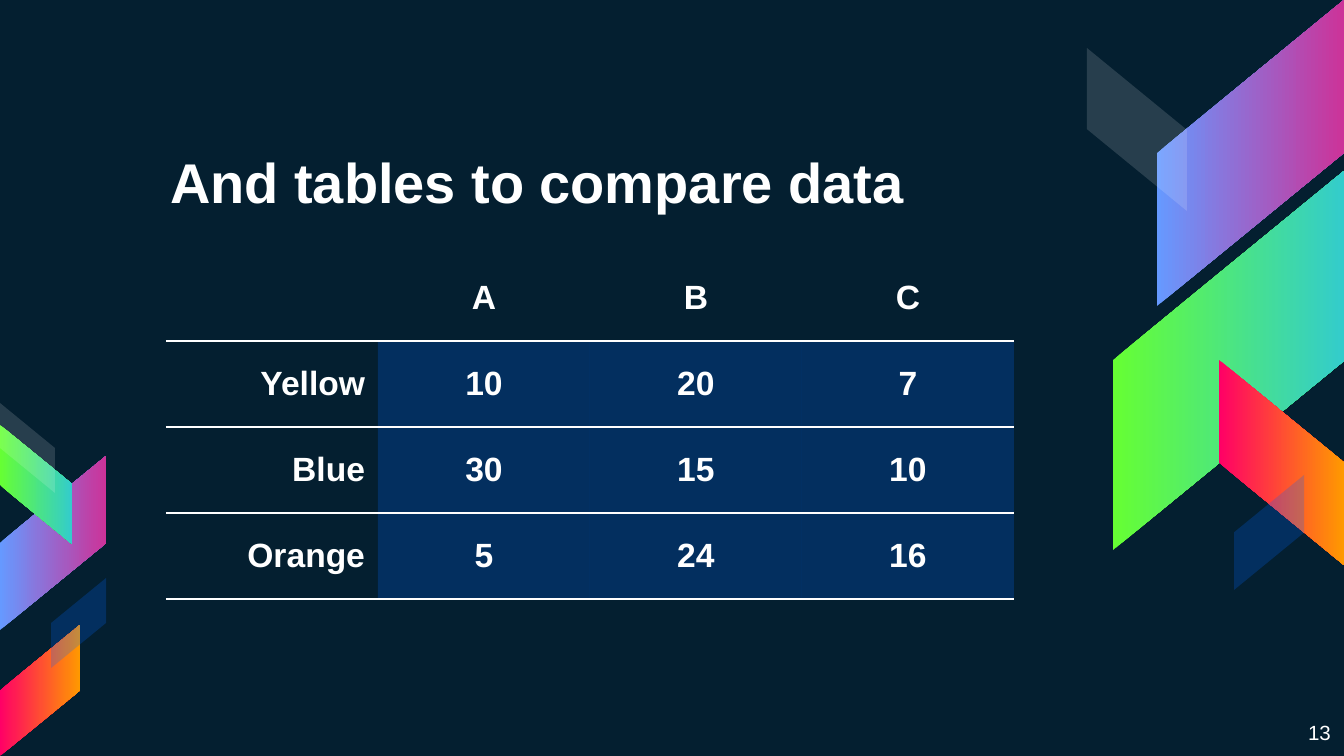
from dataclasses import dataclass

from lxml.etree import SubElement
from pptx import Presentation
from pptx.dml.color import RGBColor
from pptx.enum.shapes import MSO_SHAPE
from pptx.enum.text import MSO_ANCHOR, MSO_AUTO_SIZE, PP_ALIGN
from pptx.oxml import parse_xml
from pptx.oxml.ns import nsdecls, qn
from pptx.util import Pt

WIDTH, HEIGHT = 1344, 756
SCALE = 914400 / 134.4
PLAIN_TABLE = "{2D5ABB26-0587-4C30-8999-92F81FD0307C}"


def px(length):
    return round(length * SCALE)


@dataclass(frozen=True)
class Theme:
    background: str = "041F30"
    text: str = "FFFFFF"
    accent: str = "0066FF"
    accent_opacity: int = 23
    veil_opacity: int = 14
    violet: tuple = ("6699FF", "CC3399")
    green: tuple = ("66FF33", "33CCCC")
    flame: tuple = ("FF0066", "FF9900")
    font: str = "Arial"
    title_size: int = 30
    table_size: int = 18
    number_size: int = 11
    inset: int = 13
    rule_width: float = 0.75
    slant: float = 0.819


class SlideBuilder:
    def __init__(self, deck, theme):
        self.theme = theme
        self.page = deck.slides.add_slide(deck.slide_layouts[5])
        fill = self.page.background.fill
        fill.solid()
        fill.fore_color.rgb = RGBColor.from_string(theme.background)

    def paint(self, fill, owner, color, opacity):
        fill.solid()
        fill.fore_color.rgb = RGBColor.from_string(color)
        for tint in owner.iter(qn("a:srgbClr")):
            SubElement(tint, qn("a:alpha")).set("val", str(opacity * 1000))

    def set_text(self, frame, text, size, align, bold=True):
        frame.text = text
        para = frame.paragraphs[0]
        para.alignment = align
        para.font.name = self.theme.font
        para.font.size = Pt(size)
        para.font.bold = bold
        para.font.color.rgb = RGBColor.from_string(self.theme.text)

    def frame(self, shape, anchor):
        frame = shape.text_frame
        frame.word_wrap = True
        frame.auto_size = MSO_AUTO_SIZE.NONE
        frame.vertical_anchor = anchor
        frame.margin_left = frame.margin_right = px(self.theme.inset)
        frame.margin_top = frame.margin_bottom = px(self.theme.inset)
        return frame

    def title(self, text, x, y, width, height):
        box = self.page.shapes.title
        box.left, box.top, box.width, box.height = map(px, (x, y, width, height))
        self.set_text(self.frame(box, MSO_ANCHOR.BOTTOM), text,
                      self.theme.title_size, PP_ALIGN.LEFT)

    def number(self, text, x, y, width, height):
        box = self.page.shapes.add_textbox(*map(px, (x, y, width, height)))
        self.set_text(self.frame(box, MSO_ANCHOR.TOP), text,
                      self.theme.number_size, PP_ALIGN.RIGHT, bold=False)

    def ribbon(self, x, y, width, height, rising, colors, opacity=100):
        """Upright slanted band; x, y, width and height are its visible bounds."""
        shift = (height - width) / 2
        band = self.page.shapes.add_shape(
            MSO_SHAPE.PARALLELOGRAM,
            *map(px, (x - shift, y + shift, height, width)))
        band.rotation = 270
        band.adjustments[0] = self.theme.slant
        band.shadow.inherit = False
        band.line.fill.background()
        properties = band.element.spPr
        if rising:
            properties.find(qn("a:xfrm")).set("flipH", "1")
        if len(colors) == 1:
            self.paint(band.fill, properties, colors[0], opacity)
            return
        band.fill.gradient()
        band.fill.gradient_angle = 270
        for stop, color in zip(band.fill.gradient_stops, colors):
            stop.color.rgb = RGBColor.from_string(color)

    def table(self, rows, x, y, column_width, row_height):
        count = len(rows[0])
        table = self.page.shapes.add_table(
            len(rows), count, px(x), px(y),
            px(column_width * count), px(row_height * len(rows))).table
        table.first_row = table.horz_banding = False
        next(table._tbl.iter(qn("a:tableStyleId"))).text = PLAIN_TABLE
        for column in table.columns:
            column.width = px(column_width)
        for r, values in enumerate(rows):
            table.rows[r].height = px(row_height)
            for c, value in enumerate(values):
                self.cell(table.cell(r, c), value, label=c == 0, shaded=r > 0 and c > 0)

    def cell(self, cell, value, label, shaded):
        theme = self.theme
        cell.vertical_anchor = MSO_ANCHOR.MIDDLE
        cell.margin_left = cell.margin_right = px(theme.inset)
        self.set_text(cell.text_frame, value, theme.table_size,
                      PP_ALIGN.RIGHT if label else PP_ALIGN.CENTER)
        properties = cell._tc.get_or_add_tcPr()
        if shaded:
            self.paint(cell.fill, properties, theme.accent, theme.accent_opacity)
        else:
            cell.fill.background()
        # Rule below the cell
        properties.insert(0, parse_xml(
            f'<a:lnB {nsdecls("a")} w="{Pt(theme.rule_width)}"><a:solidFill>'
            f'<a:srgbClr val="{theme.text}"/></a:solidFill></a:lnB>'))


theme = Theme()
deck = Presentation()
deck.slide_width, deck.slide_height = px(WIDTH), px(HEIGHT)
slide = SlideBuilder(deck, theme)

veil = (theme.text,), theme.veil_opacity
tint = (theme.accent,), theme.accent_opacity

# Ribbons on the right
slide.ribbon(1157, 0, 187, 306, True, theme.violet)
slide.ribbon(1113, 171, 231, 379, True, theme.green)
slide.ribbon(1219, 360, 125, 205, False, theme.flame)
slide.ribbon(1087, 48, 100, 163, False, *veil)
slide.ribbon(1234, 475, 70, 115, True, *tint)

# Ribbons on the left
slide.ribbon(0, 456, 106, 174, True, theme.violet)
slide.ribbon(0, 425, 72, 119, False, theme.green)
slide.ribbon(0, 625, 80, 131, True, theme.flame)
slide.ribbon(0, 403, 55, 90, False, *veil)
slide.ribbon(51, 578, 55, 90, True, *tint)

# Title, comparison table and slide number
slide.title("And tables to compare data", 157, 134, 878, 94)
slide.table([
    ("", "A", "B", "C"),
    ("Yellow", "10", "20", "7"),
    ("Blue", "30", "15", "10"),
    ("Orange", "5", "24", "16"),
], 166, 255, 212, 86)
slide.number("13", 1258, 707, 86, 48)

deck.save("out.pptx")
